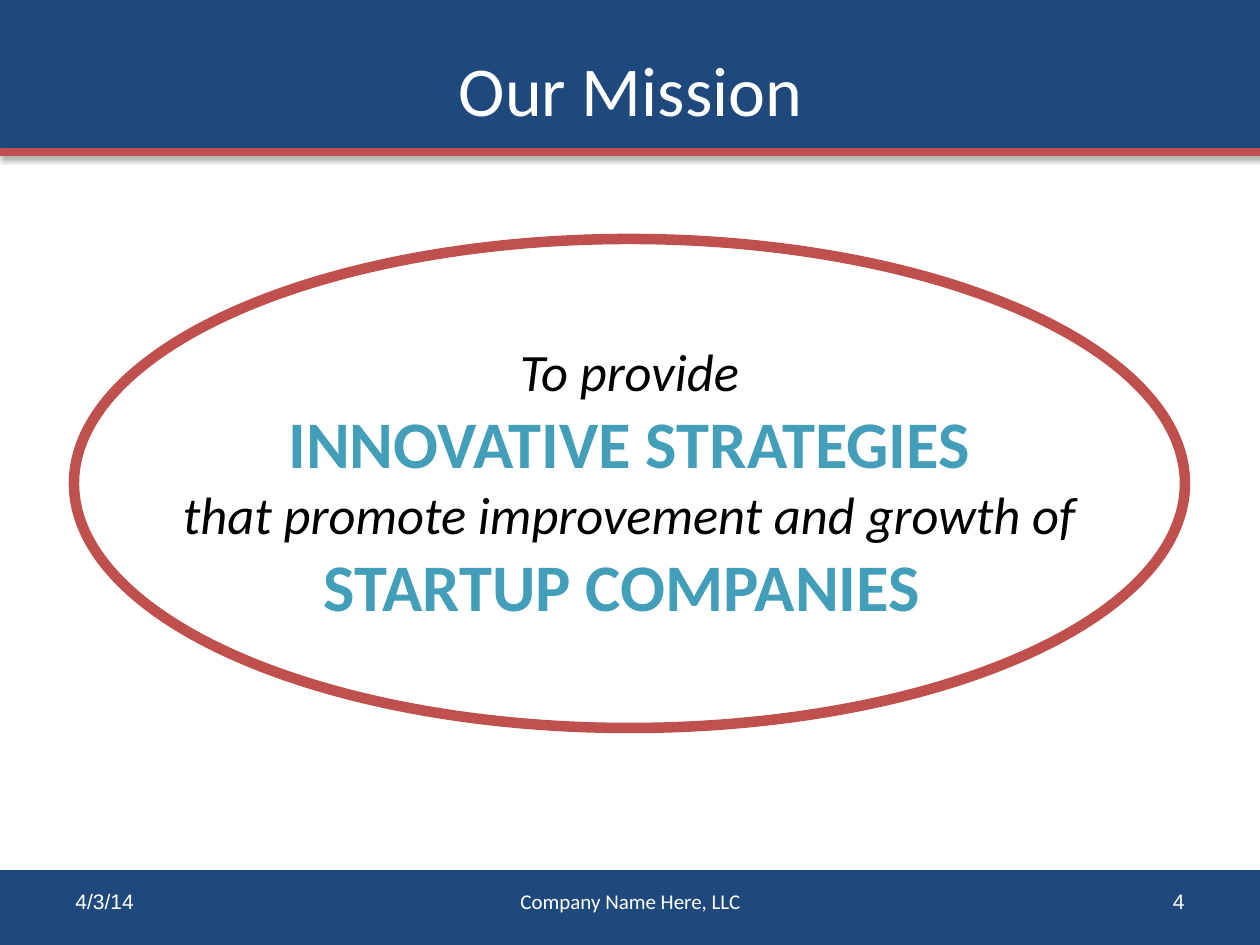
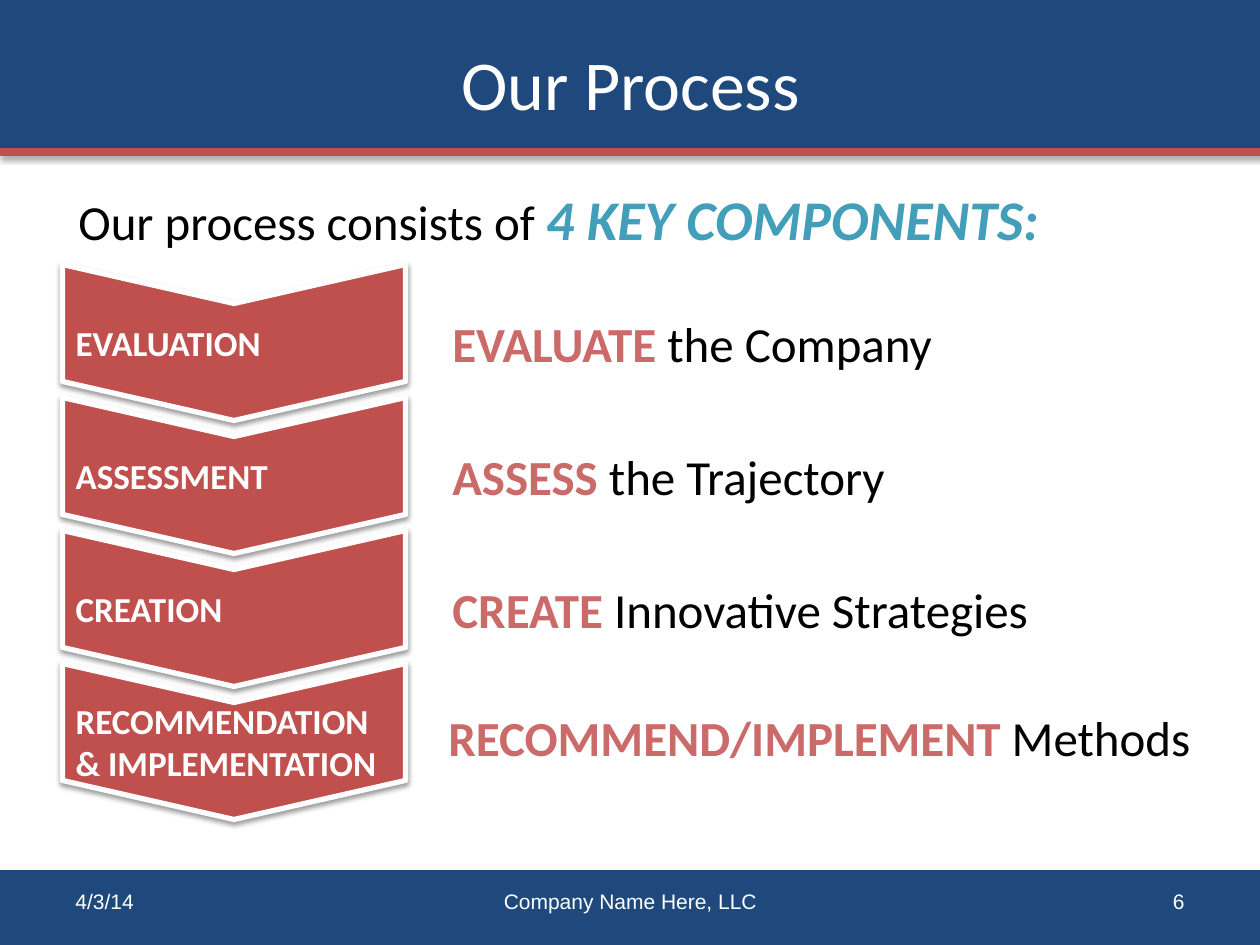
import pptx
import pptx.util
import pptx.dml.color
import pptx.enum.shapes
import pptx.enum.text
import pptx.oxml
import pptx.oxml.ns

PX = 914400 / 126
NAVY = pptx.dml.color.RGBColor(0x1F, 0x49, 0x7D)
RED = pptx.dml.color.RGBColor(0xC0, 0x50, 0x4D)
ROSE = pptx.dml.color.RGBColor(0xCA, 0x6A, 0x69)
TEAL = pptx.dml.color.RGBColor(0x42, 0x9E, 0xB9)
WHITE = pptx.dml.color.RGBColor(255, 255, 255)
BLACK = pptx.dml.color.RGBColor(0, 0, 0)

MSO = pptx.enum.shapes.MSO_SHAPE
ALIGN = pptx.enum.text.PP_ALIGN
ANCHOR = pptx.enum.text.MSO_ANCHOR

SHADOW = (
    f'<a:effectLst {pptx.oxml.ns.nsdecls("a")}>'
    '<a:outerShdw blurRad="39370" dist="20320" dir="5400000" rotWithShape="0">'
    '<a:srgbClr val="000000"><a:alpha val="38000"/></a:srgbClr>'
    '</a:outerShdw></a:effectLst>'
)
STEPS = [
    (["EVALUATION"], "EVALUATE", " the Company"),
    (["ASSESSMENT"], "ASSESS", " the Trajectory"),
    (["CREATION"], "CREATE", " Innovative Strategies"),
    (["RECOMMENDATION", "& IMPLEMENTATION"], "RECOMMEND/IMPLEMENT", " Methods"),
]


def px(*lengths):
    return [pptx.util.Emu(round(v * PX)) for v in lengths]


def write(p, text, size=28, color=BLACK, font="Calibri", bold=False, italic=False):
    r = p.add_run()
    r.text = text
    r.font.size = pptx.util.Pt(size)
    r.font.name = font
    r.font.bold = bold
    r.font.italic = italic
    r.font.color.rgb = color


def add_box(s, x, y, w, h, align=ALIGN.LEFT, anchor=ANCHOR.TOP):
    tf = s.shapes.add_textbox(*px(x, y, w, h)).text_frame
    tf.word_wrap = True
    tf.vertical_anchor = anchor
    tf.paragraphs[0].alignment = align
    return tf


def add_shadow(sp):
    sp._element.spPr.append(pptx.oxml.parse_xml(SHADOW))


def add_shape(s, kind, x, y, w, h, fill, line, weight, shadow=False):
    sp = s.shapes.add_shape(kind, *px(x, y, w, h))
    if fill is None:
        sp.fill.background()
    else:
        sp.fill.solid()
        sp.fill.fore_color.rgb = fill
    sp.line.color.rgb = line
    sp.line.width = pptx.util.Pt(weight)
    if shadow:
        add_shadow(sp)
    else:
        sp.shadow.inherit = False
    return sp


def add_rule(s, y):
    line = s.shapes.add_connector(
        pptx.enum.shapes.MSO_CONNECTOR.STRAIGHT, *px(0, y, 1264, y))
    line.line.color.rgb = RED
    line.line.width = pptx.util.Pt(4.5)
    add_shadow(line)


def add_slide(prs, title, title_y, number, company_font):
    s = prs.slides.add_slide(prs.slide_layouts[6])
    for y, h in [(871, 77), (0, 76), (76, 76)]:
        add_shape(s, MSO.RECTANGLE, 0, y, 1264, h, NAVY, NAVY, 0.75)
    add_rule(s, 152)
    tf = add_box(s, 367, title_y, 527, 97, ALIGN.CENTER)
    write(tf.paragraphs[0], title, size=40, color=WHITE)
    footers = [
        (63, 294, ALIGN.LEFT, "4/3/14", "Arial"),
        (431, 399, ALIGN.CENTER, "Company Name Here, LLC", company_font),
        (903, 294, ALIGN.RIGHT, number, "Arial"),
    ]
    for x, w, align, text, font in footers:
        tf = add_box(s, x, 876, w, 50, align, ANCHOR.MIDDLE)
        write(tf.paragraphs[0], text, size=12, color=WHITE, font=font)
    return s


def add_chevron(s, y, lines):
    sp = add_shape(s, MSO.CHEVRON, 156, y, 156, 343, RED, WHITE, 3, shadow=True)
    sp.rotation = 90
    sp.adjustments[0] = 0.25
    tf = sp.text_frame
    tf.word_wrap = True
    tf.vertical_anchor = ANCHOR.MIDDLE
    tf.margin_left = tf.margin_right = tf.margin_top = tf.margin_bottom = px(13)[0]
    tf._txBody.bodyPr.set("vert", "vert270")
    p = tf.paragraphs[0]
    p.alignment = ALIGN.LEFT
    for i, text in enumerate(lines):
        if i:
            p.add_line_break()
        write(p, text, size=20, color=WHITE, bold=True)


def add_mission(prs):
    s = add_slide(prs, "Our Mission", 40, "4", "Calibri")
    tf = add_box(s, 113, 333, 1033, 369)
    lines = ["To provide", "INNOVATIVE STRATEGIES",
             "that promote improvement and growth of", "STARTUP COMPANIES "]
    for i, text in enumerate(lines):
        p = tf.add_paragraph() if i else tf.paragraphs[0]
        p.alignment = ALIGN.CENTER
        if i % 2:
            write(p, text, size=38, color=TEAL, bold=True)
        else:
            write(p, text, size=30, italic=True)
    add_shape(s, MSO.OVAL, 74, 239, 1111, 489, None, RED, 6)


def add_process(prs):
    s = add_slide(prs, "Our Process", 34, "6", "Arial")
    for i, (label, verb, rest) in enumerate(STEPS):
        add_chevron(s, 171 + 133 * i, label)
        last = i == len(STEPS) - 1
        x, y = (436, 679) if last else (440, 285 + 133 * i)
        tf = add_box(s, x, y, 769, 116, anchor=ANCHOR.MIDDLE)
        write(tf.paragraphs[0], verb, color=ROSE, bold=True)
        write(tf.paragraphs[0], rest)
    p = add_box(s, 66, 178, 1000, 81).paragraphs[0]
    write(p, "Our process consists of ")
    write(p, "4 KEY COMPONENTS:", size=32, color=TEAL, bold=True, italic=True)


def main():
    prs = pptx.Presentation()
    prs.slide_width, prs.slide_height = px(1260, 945)
    add_mission(prs)
    add_process(prs)
    prs.save("out.pptx")


if __name__ == "__main__":
    main()
